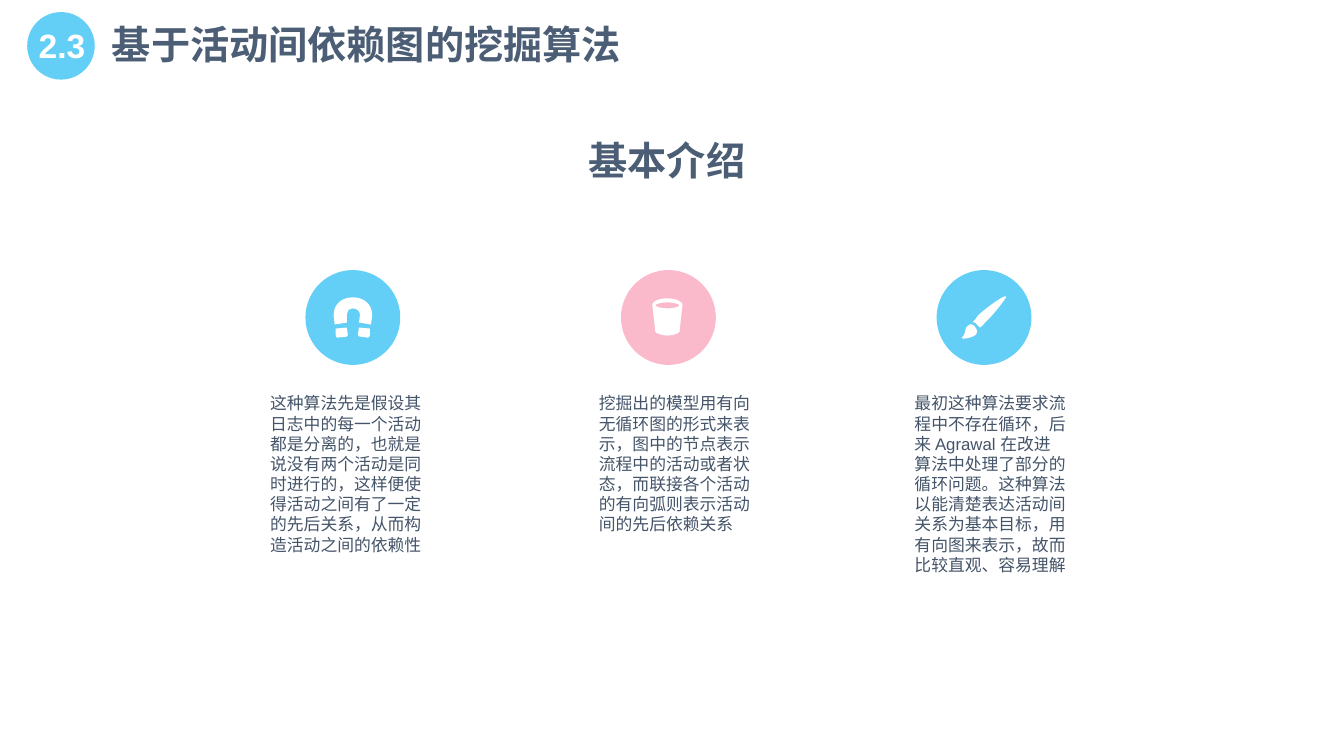
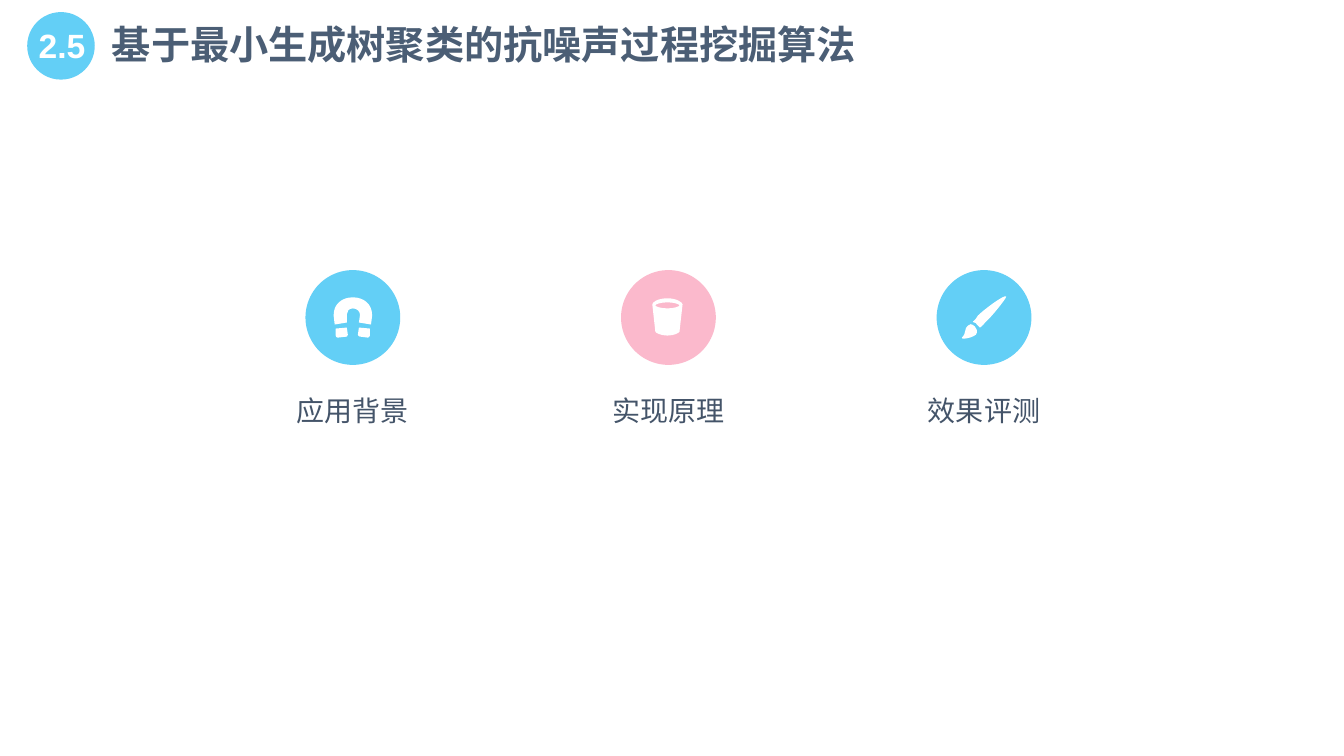
from lxml import etree
from pptx import Presentation
from pptx.dml.color import RGBColor
from pptx.enum.shapes import MSO_SHAPE
from pptx.enum.text import MSO_ANCHOR, PP_ALIGN
from pptx.oxml.ns import qn
from pptx.util import Inches, Pt

OVAL = MSO_SHAPE.OVAL
TOP, MIDDLE = MSO_ANCHOR.TOP, MSO_ANCHOR.MIDDLE
LEFT, CENTER = PP_ALIGN.LEFT, PP_ALIGN.CENTER

SKY = RGBColor(0x63, 0xCF, 0xF6)
PINK = RGBColor(0xFB, 0xB9, 0xCC)
WHITE = RGBColor(0xFF, 0xFF, 0xFF)
SLATE = RGBColor(0x4B, 0x5E, 0x75)
INK = RGBColor(0x44, 0x54, 0x69)

HEADING = {"size": Pt(28), "bold": True, "color": SLATE}
NUMBER = {"size": Pt(24), "bold": True, "color": WHITE}
BODY = {"size": Pt(12), "bold": False, "color": INK}
LABEL = {"size": Pt(20), "bold": False, "color": INK}

DISC = 0.94
DISC_LEFT, DISC_TOP, DISC_PITCH = 3.03, 2.68, 3.13
TEXT_TOP, TEXT_WIDTH = 3.9, 1.51

MAGNET = [
    [(5, 17), (5, 18, 6, 19, 7, 19), (15, 20), (16, 20, 16, 19, 17, 18),
     (17, 11), (6, 10)],
    [(-17, 11), (-17, 18), (-17, 19, -16, 20, -15, 20), (-6, 19),
     (-6, 19, -5, 18, -5, 17), (-6, 10)],
    [(-19, -1), (-18, 7), (-6, 5), (-6, -3), (-6, -6, -4, -9, 0, -9),
     (4, -9, 7, -6, 7, -3), (7, -2), (6, 5), (18, 7), (19, -1), (19, -3),
     (19, -13, 11, -20, 0, -20), (-11, -20, -19, -13, -19, -3)],
]
CUP = [
    [(-1, -19), (-11, -19, -16, -15, -16, -13), (-13, 14),
     (-13, 15, -8, 18, -1, 18), (6, 18, 11, 15, 11, 14), (14, -13),
     (14, -15, 8, -19, -1, -19)],
    [(-1, -9), (-8, -9, -13, -11, -13, -12), (-13, -13, -8, -15, -1, -15),
     (6, -15, 11, -13, 11, -12), (11, -11, 6, -9, -1, -9)],
]
BRUSH = [
    [(-16, 8), (-20, 11, -17, 15, -22, 20), (-24, 22, -13, 21, -8, 17),
     (-6, 14, -7, 11, -9, 9), (-12, 6, -15, 6, -16, 8)],
    [(22, -21), (20, -23, 0, -8, -6, -2), (-8, 1, -9, 3, -11, 4),
     (-11, 5, -10, 5, -10, 5), (-9, 5, -8, 5, -7, 7), (-6, 8, -5, 9, -5, 9),
     (-5, 10, -4, 10, -4, 10), (-3, 9, -1, 8, 1, 5), (7, 0, 23, -20, 22, -21)],
]
TOPICS = [(SKY, MAGNET), (PINK, CUP), (SKY, BRUSH)]

INTRODUCTION = [
    (2.68, 1.63, "这种算法先是假设其日志中的每一个活动都是分离的，也就是说没有两个活动是同时进行的，"
     "这样便使得活动之间有了一定的先后关系，从而构造活动之间的依赖性"),
    (5.94, TEXT_WIDTH, "挖掘出的模型用有向无循环图的形式来表示，图中的节点表示流程中的活动或者状态，"
     "而联接各个活动的有向弧则表示活动间的先后依赖关系"),
    (9.07, TEXT_WIDTH, "最初这种算法要求流程中不存在循环，后来 Agrawal 在改进算法中处理了部分的循环问题。"
     "这种算法以能清楚表达活动间关系为基本目标，用有向图来表示，故而比较直观、容易理解"),
]
ASPECTS = ["应用背景", "实现原理", "效果评测"]


def write(shape, text, style, align=LEFT, anchor=TOP, margins=(0, 0), wrap=True):
    """Fill a shape with one formatted paragraph."""
    frame = shape.text_frame
    side, end = (Inches(margin) for margin in margins)
    settings = {"margin_left": side, "margin_right": side, "margin_top": end,
                "margin_bottom": end, "vertical_anchor": anchor, "word_wrap": wrap}
    for name, value in settings.items():
        setattr(frame, name, value)
    paragraph = frame.paragraphs[0]
    paragraph.alignment = align
    run = paragraph.add_run()
    run.text = text
    run.font.name = "Arial"
    run.font.size = style["size"]
    run.font.bold = style["bold"]
    run.font.color.rgb = style["color"]


def add_text(slide, box, text, style, **layout):
    """Add a text box at the given left, top, width and height."""
    write(slide.shapes.add_textbox(*map(Inches, box)), text, style, **layout)


def paint(shape, color):
    """Give a shape a flat fill without line or shadow."""
    shape.shadow.inherit = False
    shape.fill.solid()
    shape.fill.fore_color.rgb = color
    shape.line.fill.background()


def add_disc(slide, left, top, size, color):
    """Add a flat circle."""
    disc = slide.shapes.add_shape(OVAL, *map(Inches, (left, top, size, size)))
    paint(disc, color)
    return disc


def bend(icon, segments, center_x, center_y):
    """Turn the straight segments that have control points into cubic curves."""
    lines = list(icon.element.iter(qn("a:lnTo")))
    for line, segment in zip(lines, segments):
        if len(segment) == 2:
            continue
        curve = etree.Element(qn("a:cubicBezTo"))
        for x, y in zip(segment[::2], segment[1::2]):
            point = etree.SubElement(curve, qn("a:pt"))
            point.set("x", str(Inches(center_x + x / 100) - icon.left))
            point.set("y", str(Inches(center_y + y / 100) - icon.top))
        line.getparent().replace(line, curve)


def add_icon(slide, center_x, center_y, outlines):
    """Draw a white icon from outlines in hundredths of an inch around a centre."""
    contours = [[(Inches(center_x + segment[-2] / 100),
                  Inches(center_y + segment[-1] / 100))
                 for segment in outline] for outline in outlines]
    builder = slide.shapes.build_freeform(*contours[0][0], scale=1.0)
    for index, contour in enumerate(contours):
        if index:
            builder.move_to(*contour[0])
        for vertex in contour[1:-1]:
            builder.add_line_segments([vertex], close=False)
        builder.add_line_segments(contour[-1:], close=True)
    icon = builder.convert_to_shape()
    paint(icon, WHITE)
    segments = [segment for outline in outlines for segment in outline[1:]]
    bend(icon, segments, center_x, center_y)


def add_header(slide, number, heading):
    """Place the section number badge and the slide title."""
    add_disc(slide, 0.27, 0.12, 0.67, SKY)
    add_text(slide, (0.22, 0.2, 0.79, 0.5), number, NUMBER,
             align=CENTER, margins=(0.1, 0.05))
    title = slide.shapes.title
    place = {"left": 1.01, "top": 0.15, "width": 7.79, "height": 0.57}
    for name, value in place.items():
        setattr(title, name, Inches(value))
    write(title, heading, HEADING, anchor=MIDDLE, margins=(0.1, 0.05))


def add_topics(slide):
    """Place the row of discs with icons and return their centres."""
    centers = []
    for index, (color, outlines) in enumerate(TOPICS):
        left = DISC_LEFT + index * DISC_PITCH
        center = left + DISC / 2
        add_disc(slide, left, DISC_TOP, DISC, color)
        add_icon(slide, center, DISC_TOP + DISC / 2, outlines)
        centers.append(center)
    return centers


def build_introduction(slide):
    """Build the slide that introduces the dependency graph algorithm."""
    add_header(slide, "2.3", "基于活动间依赖图的挖掘算法")
    add_text(slide, (4.21, 1.3, 4.81, 0.57), "基本介绍", HEADING,
             align=CENTER, margins=(0.1, 0.05))
    add_topics(slide)
    for left, width, text in INTRODUCTION:
        add_text(slide, (left, TEXT_TOP, width, 1.82), text, BODY)


def build_aspects(slide):
    """Build the slide that lists the aspects of the clustering algorithm."""
    add_header(slide, "2.5", "基于最小生成树聚类的抗噪声过程挖掘算法")
    for center, aspect in zip(add_topics(slide), ASPECTS):
        box = (center - TEXT_WIDTH / 2, TEXT_TOP, TEXT_WIDTH, 0.34)
        add_text(slide, box, aspect, LABEL, align=CENTER)


def main():
    """Build and save the presentation."""
    deck = Presentation()
    deck.slide_width, deck.slide_height = Inches(13.33), Inches(7.5)
    title_only = deck.slide_layouts[5]
    for build in (build_introduction, build_aspects):
        build(deck.slides.add_slide(title_only))
    deck.save("out.pptx")


if __name__ == "__main__":
    main()
